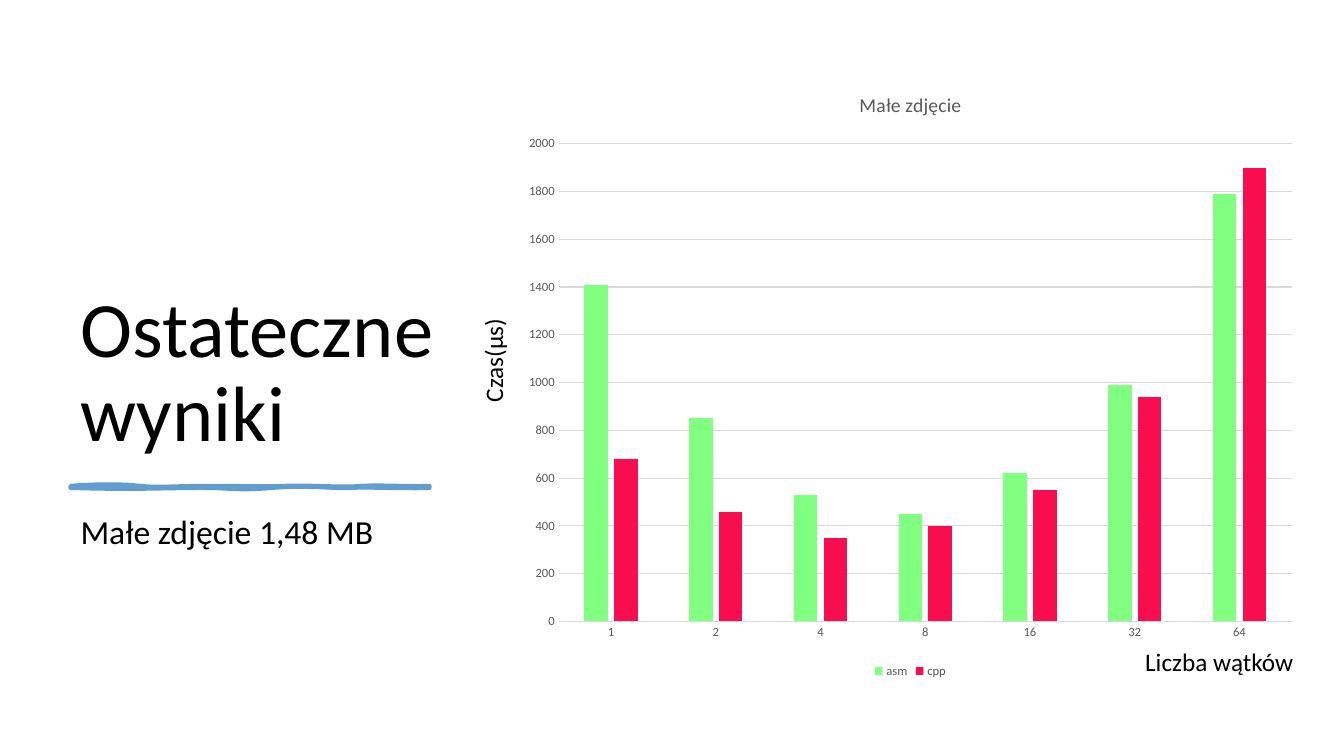
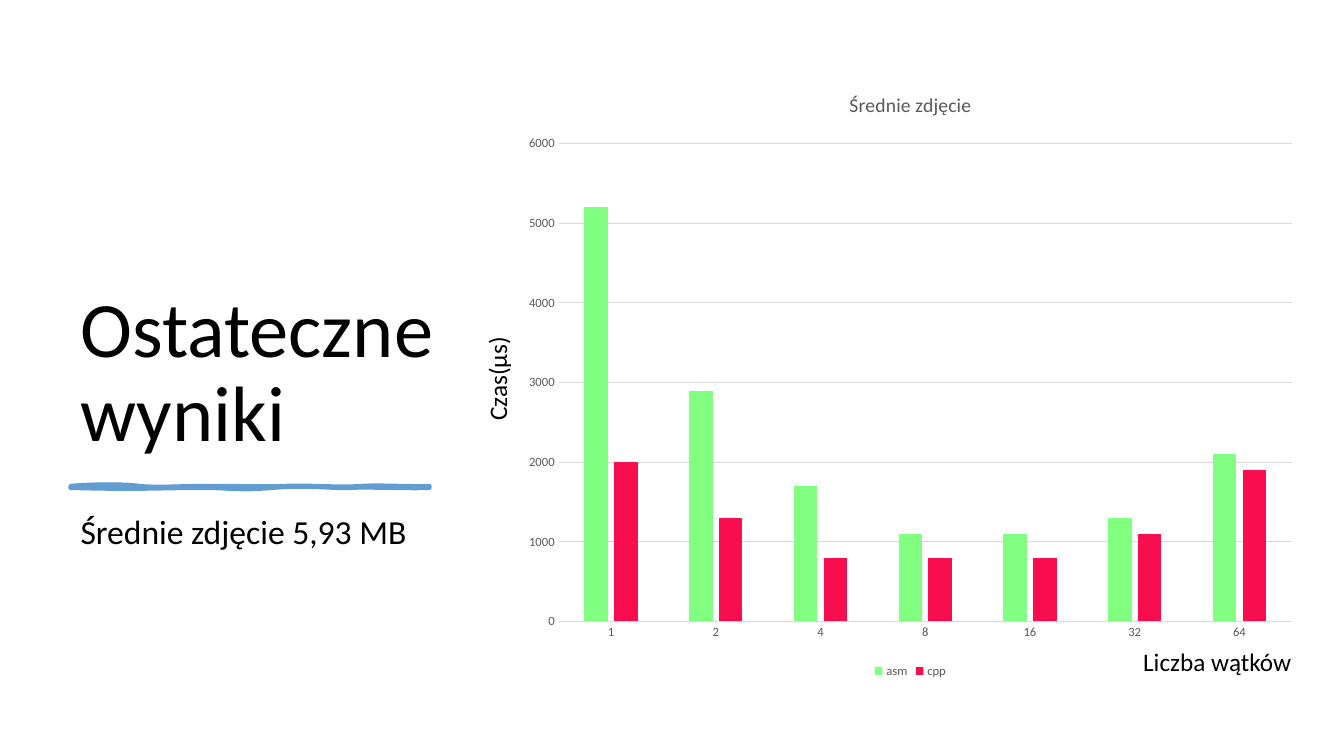
from dataclasses import dataclass

from pptx import Presentation
from pptx.chart.data import CategoryChartData
from pptx.dml.color import RGBColor
from pptx.enum.chart import XL_CHART_TYPE, XL_LEGEND_POSITION as Legend, XL_TICK_MARK as Tick
from pptx.enum.text import MSO_ANCHOR as Anchor
from pptx.util import Pt

PX = 9144  # EMU per px, 100 px to the inch


@dataclass(frozen=True)
class Theme:
    font: str = "Calibri"
    text: str = "000000"
    muted: str = "595959"
    grid: str = "D9D9D9"
    accent: str = "629DD1"
    series: tuple = ("80FF80", "F80D4F")
    title_size: int = 56
    body_size: int = 24
    axis_title_size: int = 18
    chart_title_size: int = 14
    chart_label_size: int = 9


THEME = Theme()
THREADS = ("1", "2", "4", "8", "16", "32", "64")

# Hand-drawn rule: a start, then cubic segments (two controls and an end).
RULE_START = (70, 482)
RULE_CURVES = (
    ((97, 480), (121, 480), (138, 482)),
    ((155, 484), (177, 482), (209, 482)),
    ((241, 482), (260, 483), (284, 482)),
    ((308, 481), (339, 484), (359, 482)),
    ((379, 481), (412, 483), (426, 482)),
    ((426, 483), (426, 484), (426, 484)),
    ((408, 485), (364, 483), (348, 484)),
    ((332, 485), (304, 481), (270, 484)),
    ((235, 487), (231, 484), (199, 484)),
    ((166, 484), (132, 486), (70, 484)),
)


@dataclass(frozen=True)
class Result:
    name: str
    size: str
    asm: tuple
    cpp: tuple
    axis_max: int
    axis_step: int
    time_at: tuple
    threads_at: tuple


RESULTS = (
    Result("Małe zdjęcie", "1,48 MB",
           (1410, 850, 530, 450, 620, 990, 1790),
           (680, 460, 350, 400, 550, 940, 1900),
           2000, 200, (437, 337), (1126, 636)),
    Result("Średnie zdjęcie", "5,93 MB",
           (5200, 2900, 1700, 1100, 1100, 1300, 2100),
           (2000, 1300, 800, 800, 800, 1100, 1900),
           6000, 1000, (441, 355), (1124, 636)),
)


def rgb(color):
    return RGBColor.from_string(color)


def style_font(font, size, color=THEME.text):
    font.name = THEME.font
    font.size = Pt(size)
    font.bold = False
    font.color.rgb = rgb(color)


def add_text(s, text, box, size, anchor=Anchor.TOP, spacing=None, before=None, rotation=0):
    sp = s.shapes.add_textbox(*(v * PX for v in box))
    sp.rotation = rotation
    tf = sp.text_frame
    tf.word_wrap = True
    tf.vertical_anchor = anchor
    p = tf.paragraphs[0]
    p.text = text
    style_font(p.font, size)
    if spacing:
        p.line_spacing = spacing
    if before:
        p.space_before = Pt(before)


def cubic_points(start, curves, steps=10):
    """Yield points along a chain of cubic curves."""
    for a, b, end in curves:
        for i in range(1, steps + 1):
            t = i / steps
            u = 1 - t
            weights = (u ** 3, 3 * u * u * t, 3 * u * t * t, t ** 3)
            yield tuple(sum(w * pt[axis] for w, pt in zip(weights, (start, a, b, end))) * PX
                        for axis in (0, 1))
        start = end


def add_rule(s):
    outline = s.shapes.build_freeform(*(v * PX for v in RULE_START))
    outline.add_line_segments(cubic_points(RULE_START, RULE_CURVES), close=True)
    sp = outline.convert_to_shape()
    sp.shadow.inherit = False
    sp.fill.solid()
    sp.fill.fore_color.rgb = rgb(THEME.accent)
    sp.line.color.rgb = rgb(THEME.accent)
    sp.line.width = Pt(3)


def style_line(line):
    line.color.rgb = rgb(THEME.grid)
    line.width = Pt(0.75)


def style_axes(chart, result):
    for axis in (chart.category_axis, chart.value_axis):
        axis.major_tick_mark = axis.minor_tick_mark = Tick.NONE
        style_font(axis.tick_labels.font, THEME.chart_label_size, THEME.muted)
    style_line(chart.category_axis.format.line)
    values = chart.value_axis
    values.minimum_scale = 0
    values.maximum_scale = result.axis_max
    values.major_unit = result.axis_step
    values.format.line.fill.background()
    style_line(values.major_gridlines.format.line)


def add_time_chart(s, result, box):
    data = CategoryChartData()
    data.categories = THREADS
    data.add_series("asm", result.asm)
    data.add_series("cpp", result.cpp)
    chart = s.shapes.add_chart(XL_CHART_TYPE.COLUMN_CLUSTERED,
                               *(v * PX for v in box), data).chart
    style_font(chart.font, 10)

    tf = chart.chart_title.text_frame
    tf.text = result.name
    style_font(tf.paragraphs[0].font, THEME.chart_title_size, THEME.muted)
    chart.chart_title.include_in_layout = False

    chart.has_legend = True
    chart.legend.position = Legend.BOTTOM
    chart.legend.include_in_layout = False
    style_font(chart.legend.font, THEME.chart_label_size, THEME.muted)
    style_axes(chart, result)

    plot = chart.plots[0]
    plot.vary_by_categories = False
    plot.gap_width = 219
    plot.overlap = -27
    for series, color in zip(plot.series, THEME.series):
        series.format.fill.solid()
        series.format.fill.fore_color.rgb = rgb(color)


def add_result_slide(prs, result):
    s = prs.slides.add_slide(prs.slide_layouts[6])
    add_text(s, "Ostateczne wyniki", (70, 69, 391, 391), THEME.title_size,
             anchor=Anchor.BOTTOM, spacing=0.9)
    add_text(s, f"{result.name} {result.size}", (70, 506, 391, 171), THEME.body_size,
             spacing=0.9, before=10)
    add_rule(s)
    add_time_chart(s, result, (509, 70, 788, 607))
    add_text(s, "Czas(μs)", (*result.time_at, 104, 40), THEME.axis_title_size, rotation=270)
    add_text(s, "Liczba wątków", (*result.threads_at, 180, 40), THEME.axis_title_size)


def main():
    prs = Presentation()
    prs.slide_width, prs.slide_height = 1333 * PX, 750 * PX
    for result in RESULTS:
        add_result_slide(prs, result)
    prs.save("out.pptx")


if __name__ == "__main__":
    main()
